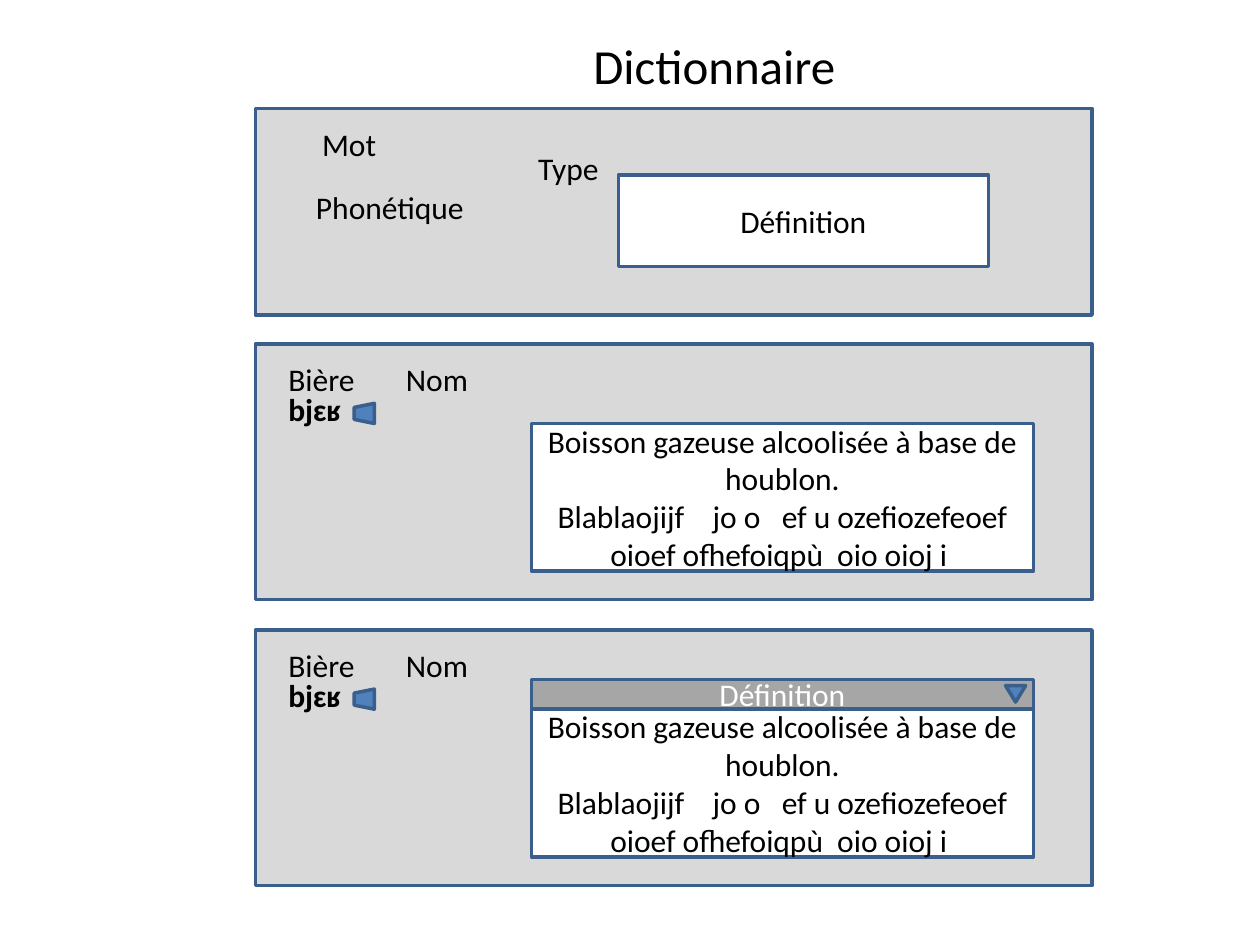
"""Build the dictionary wireframe slide: one template panel and two sample entries."""
from pptx import Presentation
from pptx import util as u
from pptx.dml.color import RGBColor
from pptx.enum import shapes, text

BLACK = RGBColor(0x00, 0x00, 0x00)
WHITE = RGBColor(0xFF, 0xFF, 0xFF)
PANEL = RGBColor(0xD9, 0xD9, 0xD9)
HEADER = RGBColor(0xA6, 0xA6, 0xA6)
BLUE = RGBColor(0x4F, 0x81, 0xBD)
BORDER = RGBColor(0x3A, 0x5F, 0x8C)
KIND = shapes.MSO_SHAPE

PANEL_LEFT, PANEL_WIDTH = 146, 478
TITLE = ("Dictionnaire", 332, 16.6, 196.5, 41)
TEMPLATE_TOP, TEMPLATE_HEIGHT = 62, 118
TEMPLATE_LABELS = [
    ("Mot", 177, 67.8, 52),
    ("Phonétique", 173.5, 103.9, 114),
    ("Type", 300.5, 81.6, 56),
]
ENTRY_TOPS, ENTRY_HEIGHT = (196.7, 360), 146
ENTRY_LABELS = [
    ("Bière", 157.7, 5.7, 54, False),
    ("bjɛʁ", 157.7, 22.7, 52, True),
    ("Nom", 224.9, 5.7, 56, False),
]
DEFINITION = [
    "Boisson gazeuse alcoolisée à base de houblon.",
    "Blablaojijf    jo o   ef u ozefiozefeoef oioef ofhefoiqpù  oio oioj i ",
]
DEF_LEFT, DEF_WIDTH, DEF_HEIGHT, DEF_OFFSET = 303.6, 287, 84.4, 45.2
HEADER_HEIGHT = 17

prs = Presentation()
prs.slide_width, prs.slide_height = u.Pt(720), u.Pt(540)
s = prs.slides.add_slide(prs.slide_layouts[6])


def write(tf, lines, color=BLACK, size=18, bold=False, align=text.PP_ALIGN.LEFT):
    tf.word_wrap = True
    for i, line in enumerate(lines):
        p = tf.paragraphs[0] if i == 0 else tf.add_paragraph()
        p.alignment = align
        r = p.add_run()
        r.text = line
        r.font.name, r.font.size, r.font.bold = "Calibri", u.Pt(size), bold
        r.font.color.rgb = color


def label(word, left, top, width, height=29, size=18, bold=False):
    sp = s.shapes.add_textbox(*map(u.Pt, (left, top, width, height)))
    write(sp.text_frame, [word], size=size, bold=bold)


def shape(left, top, width, height, fill, kind=KIND.RECTANGLE, lines=(), color=BLACK, turn=0):
    sp = s.shapes.add_shape(kind, *map(u.Pt, (left, top, width, height)))
    sp.shadow.inherit = False
    sp.rotation = turn
    sp.fill.solid()
    sp.fill.fore_color.rgb = fill
    sp.line.color.rgb = BORDER
    sp.line.width = u.Pt(2)
    sp.text_frame.vertical_anchor = text.MSO_ANCHOR.MIDDLE
    write(sp.text_frame, lines, color, align=text.PP_ALIGN.CENTER)


def entry(top):
    shape(PANEL_LEFT, top, PANEL_WIDTH, ENTRY_HEIGHT, PANEL)
    for word, left, offset, width, bold in ENTRY_LABELS:
        label(word, left, top + offset, width, bold=bold)
    shape(DEF_LEFT, top + DEF_OFFSET, DEF_WIDTH, DEF_HEIGHT, WHITE, lines=DEFINITION)
    shape(202.4, top + 33.8, 11.5, 11.5, BLUE, KIND.FLOWCHART_MANUAL_OPERATION, turn=90)


label(*TITLE, size=28)
shape(PANEL_LEFT, TEMPLATE_TOP, PANEL_WIDTH, TEMPLATE_HEIGHT, PANEL)
for item in TEMPLATE_LABELS:
    label(*item)
shape(353.3, 100, 211.5, 52.4, WHITE, lines=["Définition"])

for entry_top in ENTRY_TOPS:
    entry(entry_top)

header_top = ENTRY_TOPS[-1] + DEF_OFFSET - HEADER_HEIGHT
shape(DEF_LEFT, header_top, DEF_WIDTH, HEADER_HEIGHT, HEADER, lines=["Définition"], color=WHITE)
shape(574.6, header_top + 3.6, 11.5, 9.4, BLUE, KIND.ISOSCELES_TRIANGLE, turn=180)

prs.save("out.pptx")
